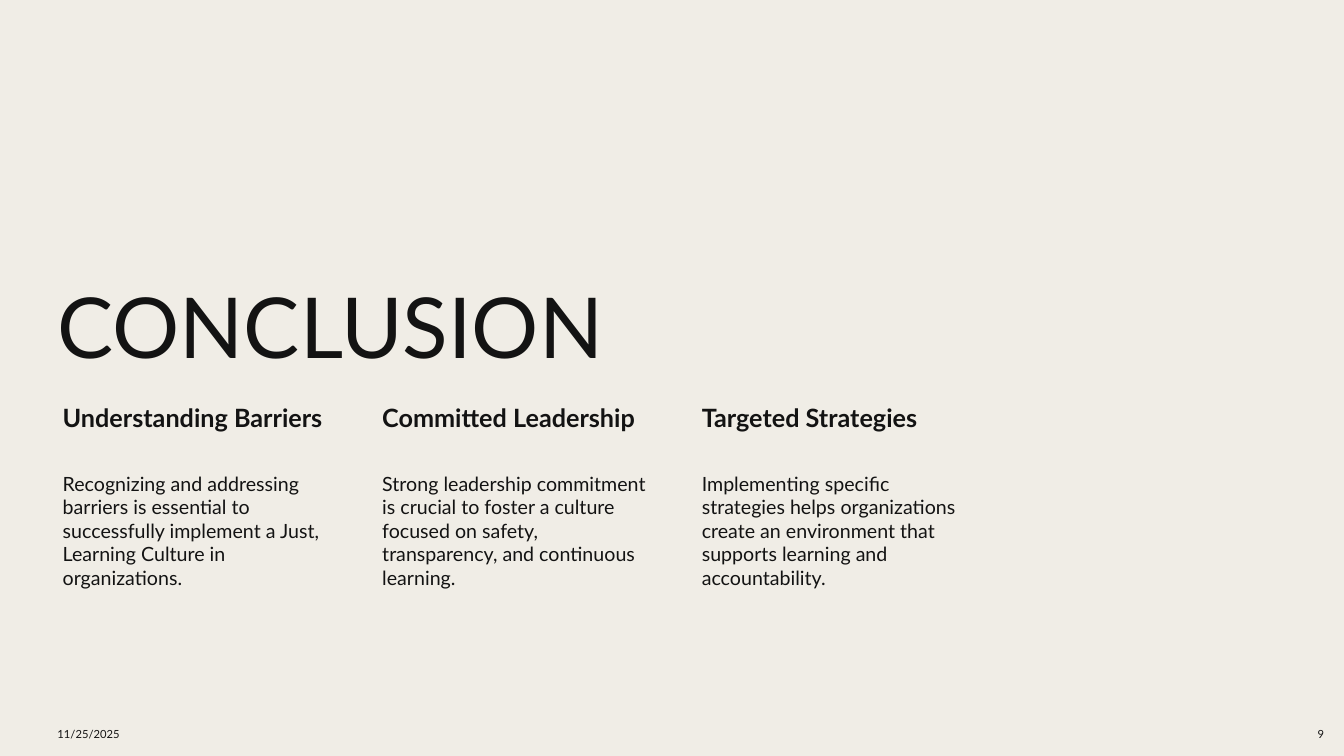
from pptx import Presentation
from pptx import util as u
from pptx.dml.color import RGBColor
from pptx.enum import text as t

COLS = [
    ("Understanding Barriers",
     "Recognizing and addressing barriers is essential to successfully "
     "implement a Just, Learning Culture in organizations."),
    ("Committed Leadership",
     "Strong leadership commitment is crucial to foster a culture focused "
     "on safety, transparency, and continuous learning."),
    ("Targeted Strategies",
     "Implementing specific strategies helps organizations create an "
     "environment that supports learning and accountability."),
]


def paint(fill, color):
    fill.solid()
    fill.fore_color.rgb = RGBColor.from_string(color)


def write(shape, words, size, font, color, bold=False, align="LEFT",
          anchor="TOP", pad=(7.2, 3.6, 7.2, 3.6), line=1.0, after=0):
    frame = shape.text_frame
    frame.word_wrap = True
    frame.auto_size = t.MSO_AUTO_SIZE.NONE
    frame.vertical_anchor = t.MSO_ANCHOR[anchor]
    for side, gap in zip(("left", "top", "right", "bottom"), pad):
        setattr(frame, "margin_" + side, u.Pt(gap))
    para = frame.paragraphs[0]
    para.alignment = t.PP_ALIGN[align]
    para.line_spacing = line
    para.space_before = u.Pt(0)
    para.space_after = u.Pt(after)
    run = para.add_run()
    run.text = words
    run.font.name = font
    run.font.size = u.Pt(size)
    run.font.bold = bold
    paint(run.font.fill, color)


class Deck:
    font = "Lato"
    ink = "131313"
    paper = "F0EDE6"

    def __init__(self, wide, high):
        self.file = Presentation()
        self.file.slide_width = u.Pt(wide)
        self.file.slide_height = u.Pt(high)
        self.slide = self.file.slides.add_slide(self.file.slide_layouts[5])
        paint(self.slide.background.fill, self.paper)

    def title(self, words, box, size, **style):
        shape = self.slide.shapes.title
        shape.left, shape.top, shape.width, shape.height = map(u.Pt, box)
        write(shape, words, size, self.font, self.ink, **style)

    def label(self, words, box, size, **style):
        shape = self.slide.shapes.add_textbox(*map(u.Pt, box))
        write(shape, words, size, self.font, self.ink, **style)


def main():
    left, wide, step = 34, 207.5, 228.25
    deck = Deck(960, 540)
    deck.title("CONCLUSION", (left, 128, 664, 145), 60,
               anchor="BOTTOM", line=0.9)
    for i, (head, body) in enumerate(COLS):
        x = left + i * step
        deck.label(head, (x, 285, wide, 50), 18, bold=True,
                   pad=(10.8, 2.2, 2.2, 2.2))
        deck.label(body, (x, 335.5, wide, 94.5), 14,
                   pad=(10.8, 1.5, 1.5, 1.5))
    foot = dict(anchor="MIDDLE", after=6)
    deck.label("11/25/2025", (left, 511, 224, 27), 8, **foot)
    deck.label("9", (917, 511, 36, 27), 8, align="RIGHT", **foot)
    deck.file.save("out.pptx")


if __name__ == "__main__":
    main()
